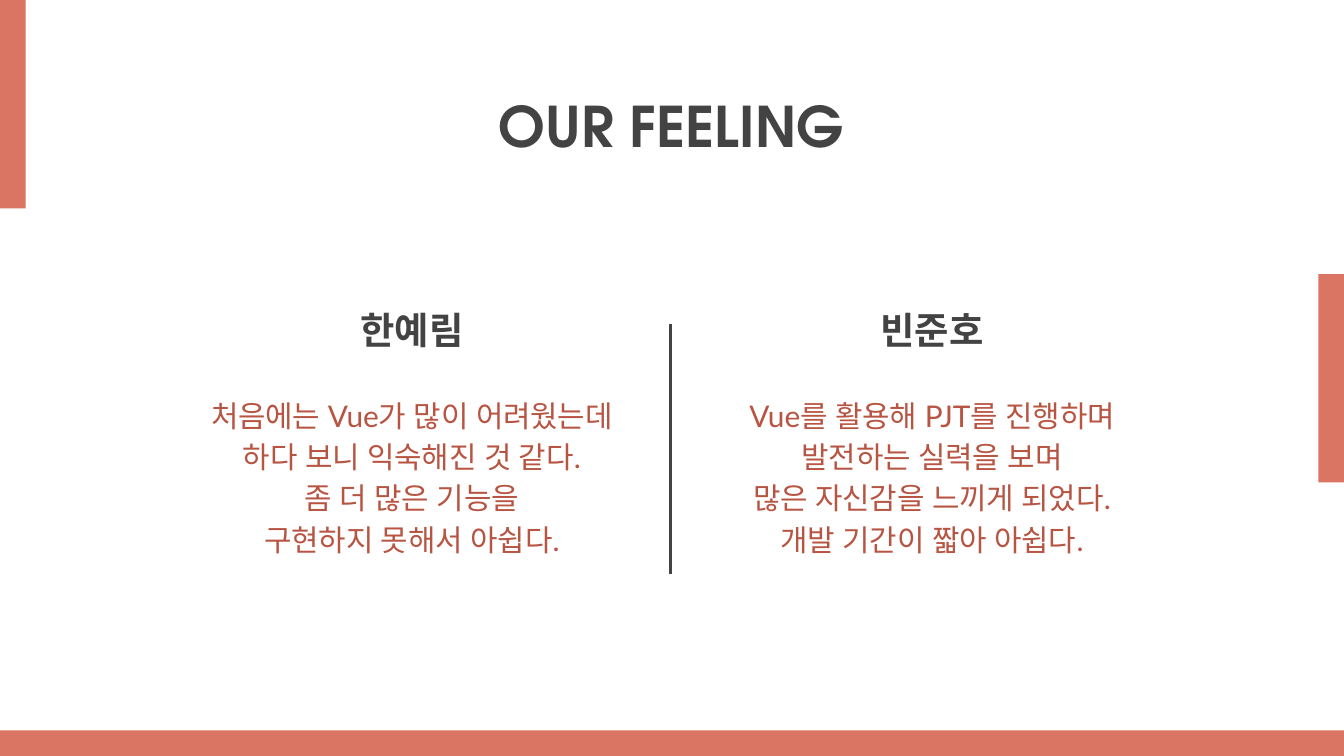
from lxml import etree
from pptx import Presentation
from pptx.dml.color import RGBColor
from pptx.enum import shapes, text
from pptx.oxml import ns
from pptx.util import Inches, Pt

WIDTH = 10
HEIGHT = WIDTH * 9 / 16
BAR, BAR_LENGTH = 0.19, 1.55
COLUMN_WIDTH, COLUMN_GAP = 3.57, 0.3
COLUMN_TOP, HEADING_HEIGHT, BODY_HEIGHT = 2.34, 0.48, 1.34
COLORS = {"paper": "FFFFFF", "accent": "DB7563", "dark": "434343", "body": "B75442"}
FEELINGS = [
    ("한예림", ["처음에는 Vue가 많이 어려웠는데 하다 보니 익숙해진 것 같다.",
              "좀 더 많은 기능을", "구현하지 못해서 아쉽다."]),
    ("빈준호", ["Vue를 활용해 PJT를 진행하며", "발전하는 실력을 보며",
              "많은 자신감을 느끼게 되었다.", "개발 기간이 짧아 아쉽다."]),
]


def color(name):
    """Return the named colour of the deck."""
    return RGBColor.from_string(COLORS[name])


def fill_text(holder, box, lines, font, size, tone, anchor, bold=False, bottom=0.1, spacing=1):
    """Place a placeholder in its box and write centred paragraphs into it."""
    holder.left, holder.top, holder.width, holder.height = map(Inches, box)
    frame = holder.text_frame
    frame.word_wrap = True
    frame.auto_size = text.MSO_AUTO_SIZE.NONE
    frame.vertical_anchor = anchor
    frame.margin_left = frame.margin_right = frame.margin_top = Inches(0.1)
    frame.margin_bottom = Inches(bottom)
    frame.text = "\n".join(lines)
    for para in frame.paragraphs:
        para.alignment = text.PP_ALIGN.CENTER
        para.line_spacing = spacing
        para.space_before = Pt(0)
        para.font.name, para.font.size, para.font.bold = font, Pt(size), bold
        para.font.color.rgb = color(tone)
        properties = para._p.get_or_add_pPr()
        properties.set("marL", "0")
        properties.set("indent", "0")
        defaults = properties.find(ns.qn("a:defRPr"))
        defaults.addprevious(etree.Element(ns.qn("a:buNone")))
        etree.SubElement(defaults, ns.qn("a:ea"), typeface=font)


def add_bars(page, width, height):
    """Draw the accent bars along the edges of the page."""
    for box in ((0, 0, BAR, BAR_LENGTH),
                (width - BAR, 2.04, BAR, BAR_LENGTH),
                (0, height - BAR, width, BAR)):
        bar = page.shapes.add_shape(shapes.MSO_SHAPE.RECTANGLE, *map(Inches, box))
        bar.shadow.inherit = False
        bar.fill.solid()
        bar.fill.fore_color.rgb = color("accent")
        bar.line.fill.background()


def add_feeling(heading, body, left, top, name, lines):
    """Write one person's name with the feeling below it."""
    fill_text(heading, (left, top, COLUMN_WIDTH, HEADING_HEIGHT), [name], "Arial", 20,
              "dark", text.MSO_ANCHOR.BOTTOM, bold=True, bottom=0.2)
    fill_text(body, (left, top + HEADING_HEIGHT, COLUMN_WIDTH, BODY_HEIGHT), lines, "Lato", 16,
              "body", text.MSO_ANCHOR.TOP, spacing=1.15)


def add_divider(page, x, top, bottom):
    """Draw the vertical line between the columns."""
    line = page.shapes.add_connector(
        shapes.MSO_CONNECTOR.STRAIGHT, *map(Inches, (x, top, x, bottom)))
    line.line.color.rgb = color("dark")
    line.line.width = Pt(1.5)
    etree.SubElement(line._element.spPr, ns.qn("a:effectLst"))


def main():
    """Build the slide and save the deck."""
    deck = Presentation()
    deck.slide_width, deck.slide_height = Inches(WIDTH), Inches(HEIGHT)
    page = deck.slides.add_slide(deck.slide_layouts.get_by_name("Comparison"))
    page.background.fill.solid()
    page.background.fill.fore_color.rgb = color("paper")
    add_bars(page, WIDTH, HEIGHT)
    title, *holders = page.placeholders
    fill_text(title, (1.75, 0.54, 6.49, 0.78), ["OUR FEELING"], "TeX Gyre Adventor", 30,
              "dark", text.MSO_ANCHOR.MIDDLE, bold=True)
    first_left = (WIDTH - COLUMN_GAP) / 2 - COLUMN_WIDTH
    for index, (name, lines) in enumerate(FEELINGS):
        heading, body = holders[2 * index:2 * index + 2]
        left = first_left + index * (COLUMN_WIDTH + COLUMN_GAP)
        add_feeling(heading, body, left, COLUMN_TOP, name, lines)
    add_divider(page, 4.99, 2.41, 4.27)
    deck.save("out.pptx")


if __name__ == "__main__":
    main()
